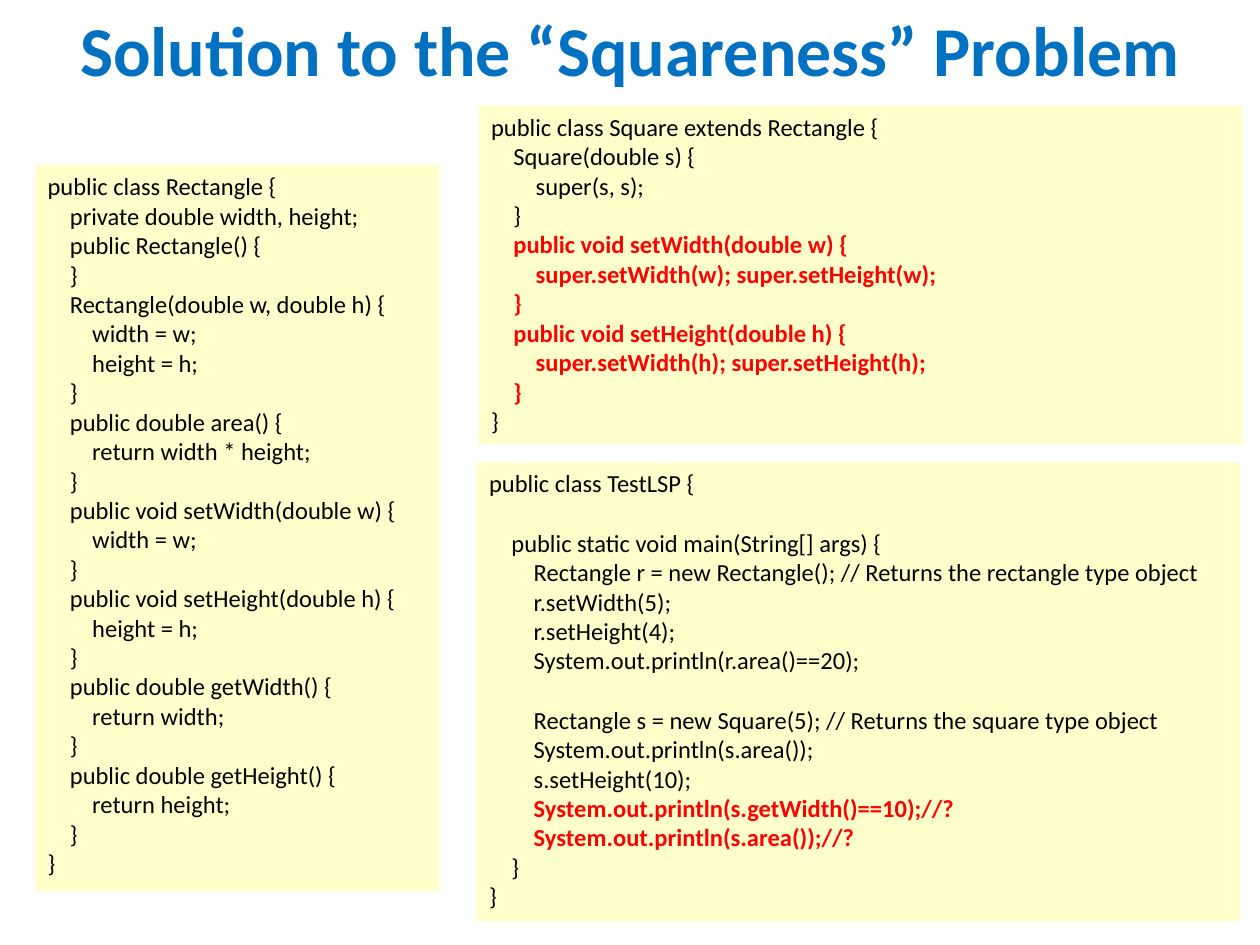
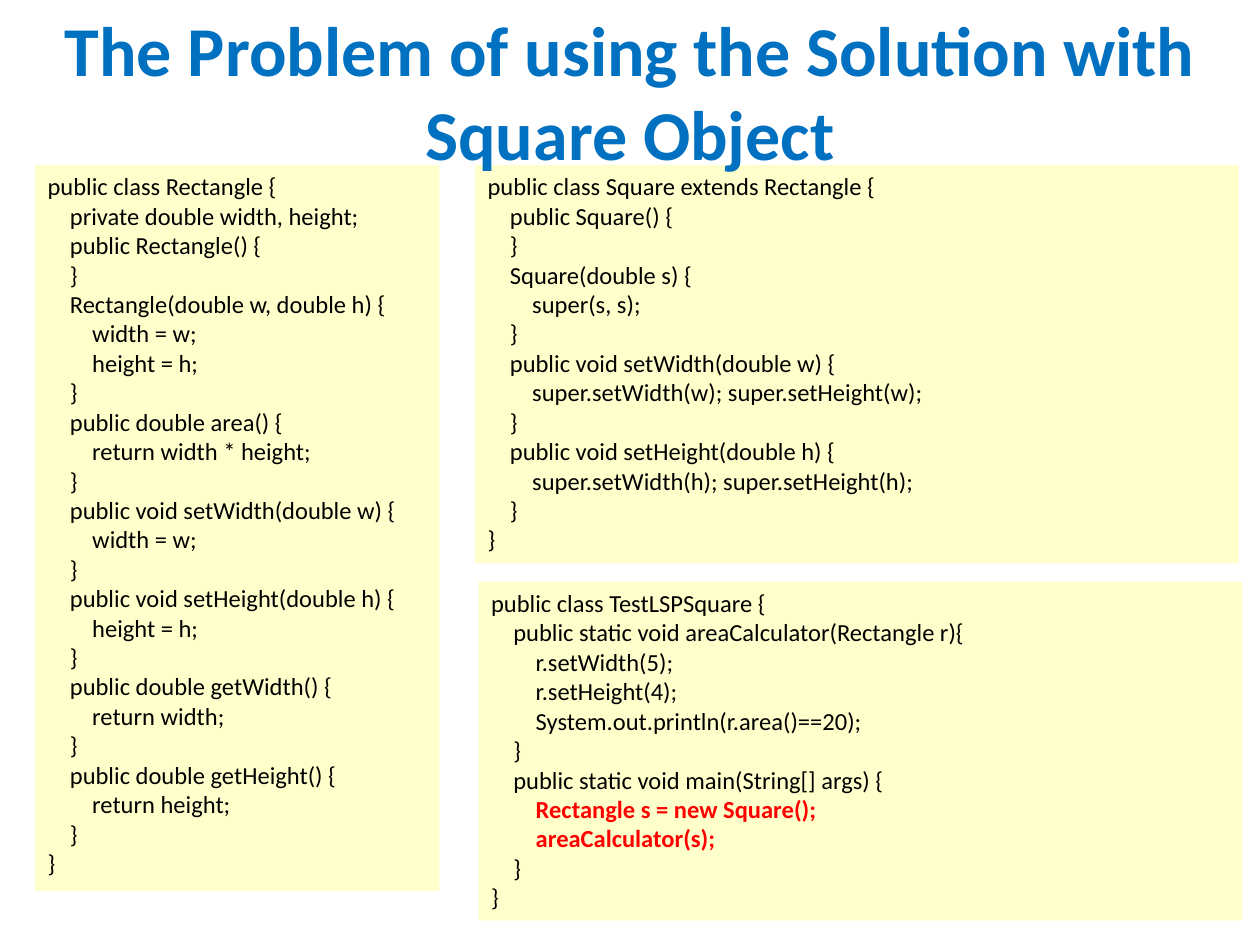
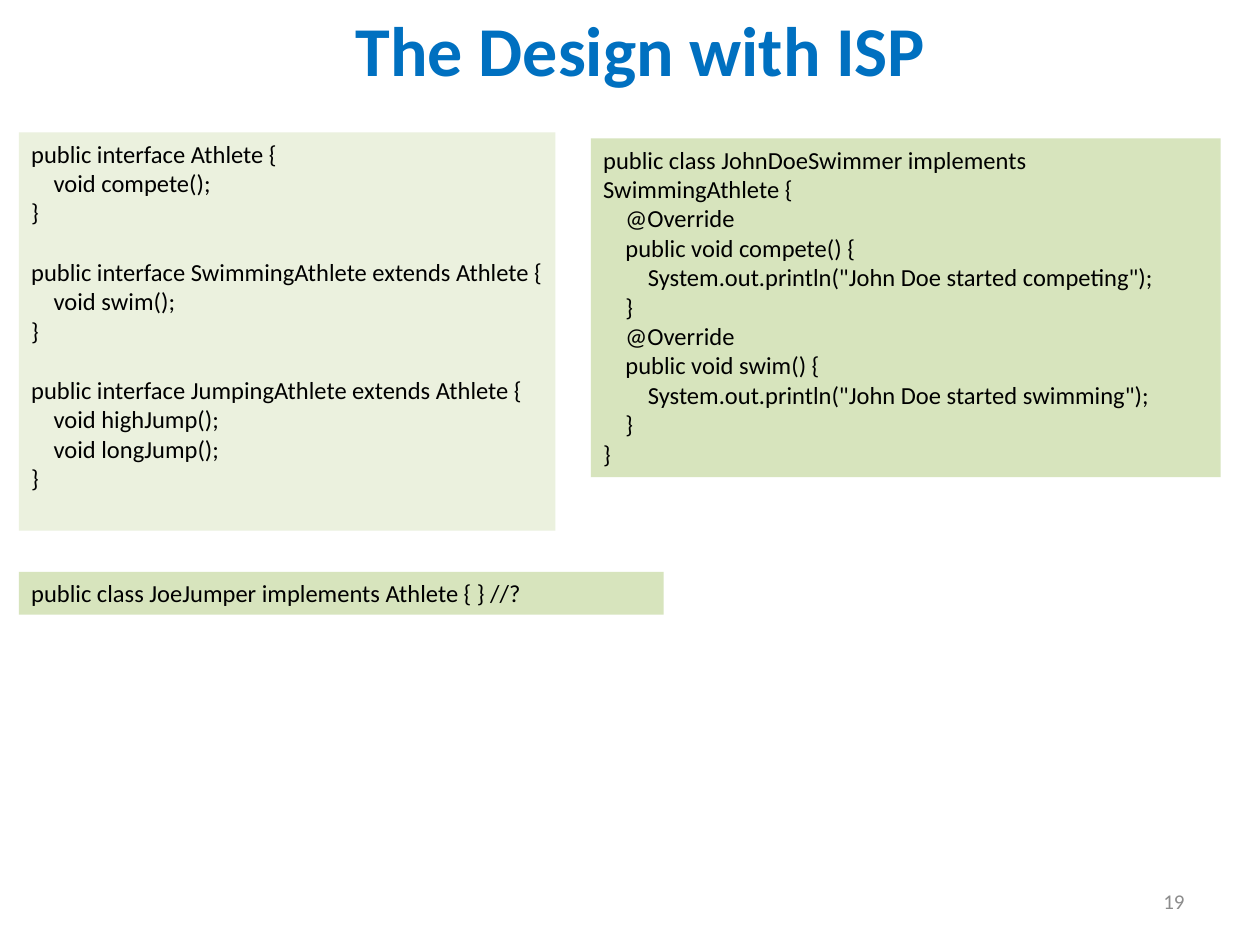
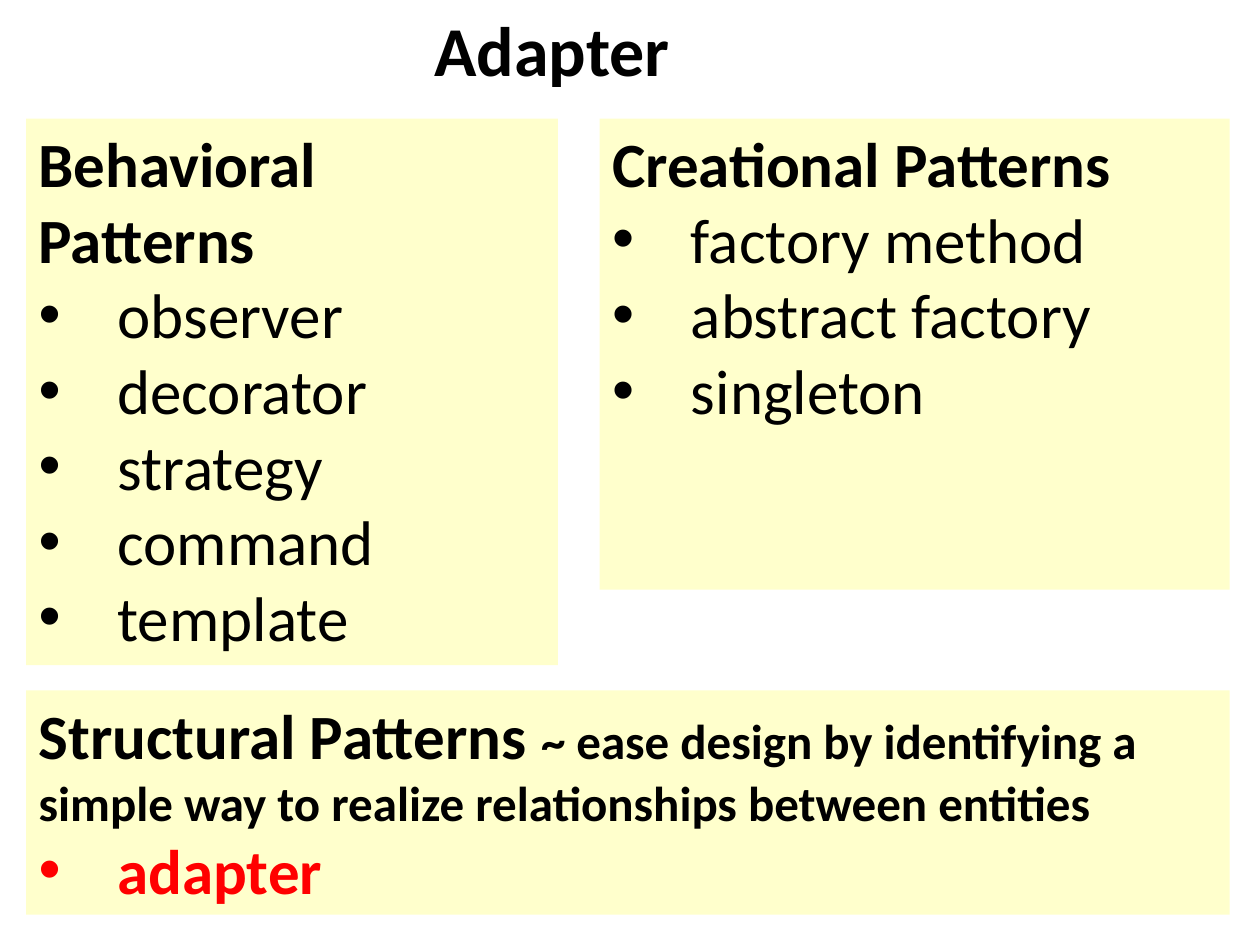
import pptx
import pptx.dml.color
import pptx.enum.shapes
import pptx.enum.text
import pptx.oxml
import pptx.oxml.ns
import pptx.util
from pptx.util import Cm

COLORS = {
    "title": "0070C0",
    "text": "000000",
    "alert": "FF0000",
    "number": "8C8C8C",
    "yellow": "FFFFCC",
    "pale_green": "EBF1DE",
    "green": "D7E4BD",
}
FONT = "Calibri"
CODE_SIZE = 14
CODE_LINE = 17.1
CODE_INDENT = Cm(0.45)
BULLET_INDENT = Cm(1.59)
ALIGN = pptx.enum.text.PP_ALIGN
ANCHOR = pptx.enum.text.MSO_ANCHOR

RECTANGLE_CODE = """
public class Rectangle {
    private double width, height;
    public Rectangle() {
    }
    Rectangle(double w, double h) {
        width = w;
        height = h;
    }
    public double area() {
        return width * height;
    }
    public void setWidth(double w) {
        width = w;
    }
    public void setHeight(double h) {
        height = h;
    }
    public double getWidth() {
        return width;
    }
    public double getHeight() {
        return height;
    }
}
"""

SETTERS_CODE = """    Square(double s) {
        super(s, s);
    }
    public void setWidth(double w) {
        super.setWidth(w); super.setHeight(w);
    }
    public void setHeight(double h) {
        super.setWidth(h); super.setHeight(h);
    }
}
"""

SQUARE_CODE = "public class Square extends Rectangle {\n" + SETTERS_CODE

DEFAULT_SQUARE_CODE = """
public class Square extends Rectangle {
    public Square() {
    }
""" + SETTERS_CODE

TEST_CODE = """
public class TestLSP {

    public static void main(String[] args) {
        Rectangle r = new Rectangle(); // Returns the rectangle type object
        r.setWidth(5);
        r.setHeight(4);
        System.out.println(r.area()==20);

        Rectangle s = new Square(5); // Returns the square type object
        System.out.println(s.area());
        s.setHeight(10);
        System.out.println(s.getWidth()==10);//?
        System.out.println(s.area());//?
    }
}
"""

TEST_SQUARE_CODE = """
public class TestLSPSquare {
    public static void areaCalculator(Rectangle r){
        r.setWidth(5);
        r.setHeight(4);
        System.out.println(r.area()==20);
    }
    public static void main(String[] args) {
        Rectangle s = new Square();
        areaCalculator(s);
    }
}
"""

INTERFACES_CODE = """
public interface Athlete {
    void compete();
}

public interface SwimmingAthlete extends Athlete {
    void swim();
}

public interface JumpingAthlete extends Athlete {
    void highJump();
    void longJump();
}
"""

SWIMMER_CODE = """
public class JohnDoeSwimmer implements SwimmingAthlete {
    @Override
    public void compete() {
        System.out.println("John Doe started competing");
    }
    @Override
    public void swim() {
        System.out.println("John Doe started swimming");
    }
}
"""

JUMPER_CODE = "public class JoeJumper implements Athlete { } //?"


def rgb(name):
    return pptx.dml.color.RGBColor.from_string(COLORS[name])


def set_all(target, formats):
    for name, value in formats.items():
        setattr(target, name, value)


def add_span(para, text, size, color="text", bold=False):
    span = para.add_run()
    span.text = text
    set_all(span.font, {"name": FONT, "size": pptx.util.Pt(size), "bold": bold})
    span.font.color.rgb = rgb(color)


def next_para(frame):
    first = frame.paragraphs[0]
    return frame.add_paragraph() if first.runs else first


def add_label(page, place, text, size, color, bold=False, align=ALIGN.CENTER,
              anchor=ANCHOR.TOP, wrap=True):
    box = page.shapes.add_textbox(*map(Cm, place))
    set_all(box.text_frame, {"word_wrap": wrap, "vertical_anchor": anchor})
    para = box.text_frame.paragraphs[0]
    para.alignment = align
    add_span(para, text, size, color, bold)


def add_title(page, text, place=(0, 0, 25.4, 3.68), color="title", **options):
    add_label(page, place, text, 40, color, bold=True, **options)


def add_panel(page, place, fill="yellow"):
    panel = page.shapes.add_shape(
        pptx.enum.shapes.MSO_SHAPE.RECTANGLE, *map(Cm, place))
    panel.shadow.inherit = False
    panel.fill.solid()
    panel.fill.fore_color.rgb = rgb(fill)
    panel.line.fill.background()
    set_all(panel.text_frame, {"word_wrap": True, "vertical_anchor": ANCHOR.TOP})
    return panel.text_frame


def add_code(page, place, code, fill="yellow", alerts=()):
    frame = add_panel(page, place, fill)
    gap = 0
    for number, line in enumerate(code.strip().splitlines(), 1):
        text = line.lstrip()
        if not text:
            gap += CODE_LINE
            continue
        para = next_para(frame)
        para.alignment = ALIGN.LEFT
        if gap:
            para.space_before = pptx.util.Pt(gap)
            gap = 0
        level = (len(line) - len(text)) // 4
        set_indent(para, level * CODE_INDENT, 0)
        alert = number in alerts
        add_span(para, text, CODE_SIZE, "alert" if alert else "text", alert)


def set_indent(para, left, first):
    properties = para._p.get_or_add_pPr()
    properties.set("marL", str(int(left)))
    properties.set("indent", str(int(first)))
    return properties


def add_bullet(para):
    properties = set_indent(para, BULLET_INDENT, -BULLET_INDENT)
    for tag, key, value in (("buFont", "typeface", "Arial"), ("buChar", "char", "•")):
        mark = pptx.oxml.xmlchemy.OxmlElement("a:" + tag)
        mark.set(key, value)
        properties.append(mark)


def add_patterns(page, place, heading, patterns, remark="", color="text", bold=False):
    frame = add_panel(page, place)
    para = next_para(frame)
    para.alignment = ALIGN.LEFT
    add_span(para, heading, 36, bold=True)
    if remark:
        add_span(para, remark, 28, bold=True)
    for pattern in patterns:
        para = next_para(frame)
        para.alignment = ALIGN.LEFT
        add_bullet(para)
        add_span(para, pattern, 36, color, bold)


def build_solution(page):
    add_code(page, (0.71, 3.33, 8.15, 14.63), RECTANGLE_CODE)
    add_code(page, (9.65, 2.13, 15.39, 6.83), SQUARE_CODE, alerts=range(5, 11))
    add_code(page, (9.61, 9.32, 15.39, 9.25), TEST_CODE, alerts=(12, 13))
    add_title(page, "Solution to the “Squareness” Problem")


def build_problem(page):
    add_code(page, (0.71, 3.33, 8.15, 14.63), RECTANGLE_CODE)
    add_code(page, (9.58, 3.33, 15.39, 8.03), DEFAULT_SQUARE_CODE)
    add_code(page, (9.65, 11.73, 15.39, 6.83), TEST_SQUARE_CODE, alerts=(8, 9))
    add_title(page, "The Problem of using the Solution with Square Object")


def build_segregation(page):
    add_label(page, (18.21, 17.65, 5.92, 1.02), "19", 12, "number",
              align=ALIGN.RIGHT, anchor=ANCHOR.MIDDLE)
    add_title(page, "The Design with ISP", (2.31, 0, 21.21, 1.96))
    add_code(page, (0.38, 2.67, 10.82, 8.03), INTERFACES_CODE, "pale_green")
    add_code(page, (11.91, 2.79, 12.7, 6.83), SWIMMER_CODE, "green")
    add_code(page, (0.38, 11.53, 13, 0.86), JUMPER_CODE, "green")


def build_adapter(page):
    add_title(page, "Adapter", (8.51, 0, 5.31, 1.96), "text",
              align=ALIGN.LEFT, wrap=False)
    add_patterns(page, (0.53, 2.39, 10.72, 11.02), "Behavioral Patterns",
                 ("observer", "decorator", "strategy", "command", "template"))
    add_patterns(page, (12.09, 2.39, 12.7, 9.5), "Creational Patterns",
                 ("factory method", "abstract factory", "singleton"))
    add_patterns(page, (0.53, 13.92, 24.26, 4.52), "Structural Patterns ", ("adapter",),
                 "~ ease design by identifying a simple way to realize "
                 "relationships between entities", "alert", True)


def main():
    deck = pptx.Presentation()
    set_all(deck, {"slide_width": Cm(25.4), "slide_height": Cm(19.05)})
    for build in (build_solution, build_problem, build_segregation, build_adapter):
        build(deck.slides.add_slide(deck.slide_layouts[6]))
    deck.save("out.pptx")


if __name__ == "__main__":
    main()
